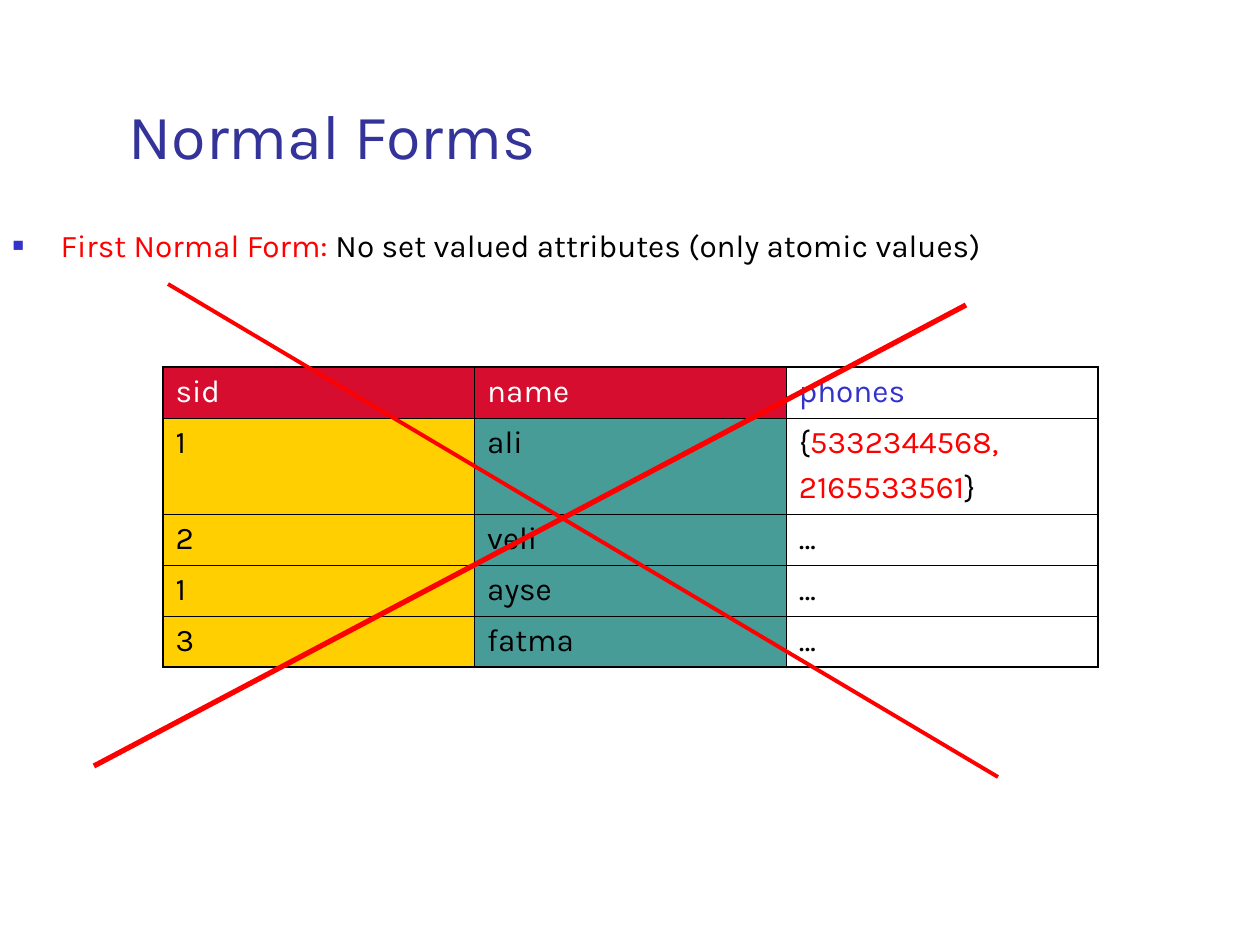
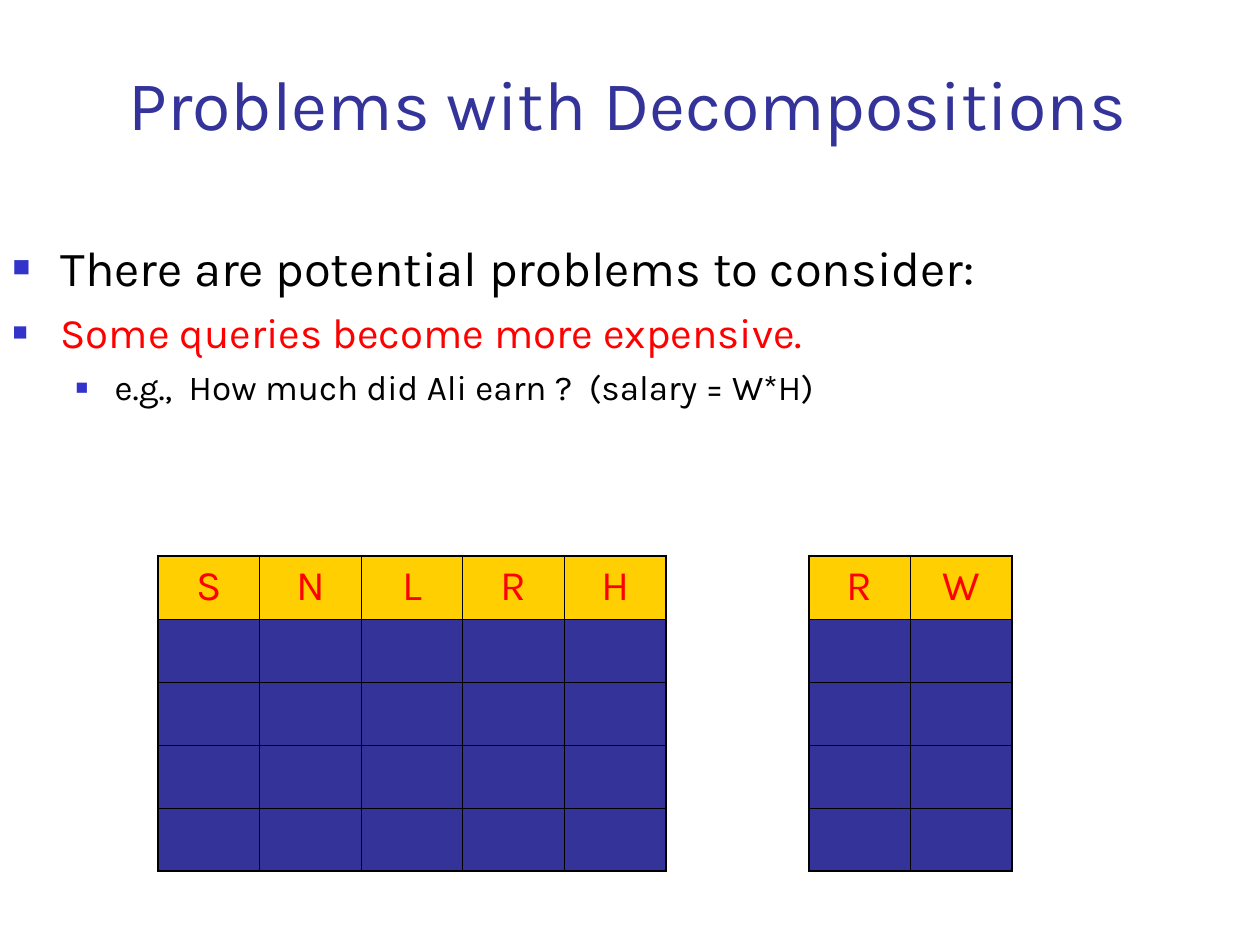
from lxml.etree import SubElement
from pptx import Presentation
from pptx.dml.color import RGBColor
from pptx.enum.shapes import MSO_CONNECTOR
from pptx.enum.text import MSO_ANCHOR, MSO_AUTO_SIZE, PP_ALIGN
from pptx.oxml.ns import qn
from pptx.util import Emu, Pt

PX_PER_INCH = 126
FONT = "Karla"
TITLE_AND_CONTENT = 1

NAVY = RGBColor(0x33, 0x33, 0x99)
BLUE = RGBColor(0x33, 0x33, 0xCC)
RED = RGBColor(0xFF, 0x00, 0x00)
CRIMSON = RGBColor(0xD7, 0x0D, 0x2F)
YELLOW = RGBColor(0xFF, 0xCF, 0x01)
TEAL = RGBColor(0x48, 0x9C, 0x98)
BLACK = RGBColor(0x00, 0x00, 0x00)
WHITE = RGBColor(0xFF, 0xFF, 0xFF)

OUTER_BORDER = Pt(1.08)
INNER_BORDER = Pt(0.45)
LEVEL_INDENTS = [(48, 48), (102, 39)]


def px(length):
    return Emu(round(length * 914400 / PX_PER_INCH))


def write(paragraph, runs, size=18, before=0, align=PP_ALIGN.LEFT):
    """Fill a paragraph with (text, colour) runs."""
    paragraph.alignment = align
    paragraph.space_before = Pt(before)
    for text, color in runs:
        run = paragraph.add_run()
        run.text = text
        run.font.name = FONT
        run.font.size = Pt(size)
        run.font.color.rgb = color


def next_paragraph(text_frame, index):
    return text_frame.paragraphs[0] if index == 0 else text_frame.add_paragraph()


def place(shape, left, top, width, height):
    shape.left, shape.top = px(left), px(top)
    shape.width, shape.height = px(width), px(height)


def set_bullet(paragraph, level):
    margin, hanging = LEVEL_INDENTS[level]
    paragraph.level = level
    properties = paragraph._p.get_or_add_pPr()
    properties.set("marL", str(px(margin)))
    properties.set("indent", str(px(-hanging)))
    color = SubElement(properties, qn("a:buClr"))
    SubElement(color, qn("a:srgbClr"), val=str(BLUE))
    SubElement(properties, qn("a:buSzPct"), val="60000")
    SubElement(properties, qn("a:buChar"), char="■")


def add_title(slide, text, height, size):
    title = slide.shapes.title
    place(title, 116, 58, 1071, height)
    title.text_frame.auto_size = MSO_AUTO_SIZE.NONE
    title.text_frame.vertical_anchor = MSO_ANCHOR.MIDDLE
    write(title.text_frame.paragraphs[0], [(text, NAVY)], size=size)


def add_bullets(slide, top, height, items):
    """Fill the body with (level, size, space before, runs) items."""
    body = slide.placeholders[1]
    place(body, 0, top, 1250, height)
    body.text_frame.auto_size = MSO_AUTO_SIZE.NONE
    for index, (level, size, before, runs) in enumerate(items):
        paragraph = next_paragraph(body.text_frame, index)
        write(paragraph, runs, size=size, before=before)
        set_bullet(paragraph, level)


def set_borders(cell, outer_sides):
    properties = cell._tc.get_or_add_tcPr()
    for side in "LRTB":
        width = OUTER_BORDER if side in outer_sides else INNER_BORDER
        line = SubElement(properties, qn(f"a:ln{side}"), w=str(width))
        fill = SubElement(line, qn("a:solidFill"))
        SubElement(fill, qn("a:srgbClr"), val=str(BLACK))


def add_grid(slide, left, top, width, row_heights, column_count):
    """Add a table with thin inner and thicker outer borders."""
    row_count = len(row_heights)
    frame = slide.shapes.add_table(row_count, column_count, px(left), px(top),
                                   px(width), px(sum(row_heights)))
    table = frame.table
    table.first_row = table.horz_banding = False
    for row, height in zip(table.rows, row_heights):
        row.height = px(height)
    for row in range(row_count):
        for column in range(column_count):
            edges = {"L": column == 0, "R": column == column_count - 1,
                     "T": row == 0, "B": row == row_count - 1}
            set_borders(table.cell(row, column),
                        [side for side, is_outer in edges.items() if is_outer])
    return table


def fill_cell(cell, color):
    if color is None:
        cell.fill.background()
    else:
        cell.fill.solid()
        cell.fill.fore_color.rgb = color


def add_student_table(slide):
    header = [("sid", WHITE, CRIMSON), ("name", WHITE, CRIMSON), ("phones", BLUE, None)]
    phones = [[("{", BLACK), ("5332344568,", RED)], [("2165533561", RED), ("}", BLACK)]]
    unknown = [[("…", BLACK)]]
    students = [("1", "ali", phones), ("2", "veli", unknown),
                ("1", "ayse", unknown), ("3", "fatma", unknown)]

    rows = [[([[(text, color)]], fill) for text, color, fill in header]]
    for sid, name, numbers in students:
        rows.append([([[(sid, BLACK)]], YELLOW), ([[(name, BLACK)]], TEAL), (numbers, None)])

    table = add_grid(slide, 163, 367, 935, [51, 96, 51, 51, 51], len(header))
    for row, contents in enumerate(rows):
        for column, (paragraphs, fill) in enumerate(contents):
            cell = table.cell(row, column)
            fill_cell(cell, fill)
            for index, runs in enumerate(paragraphs):
                write(next_paragraph(cell.text_frame, index), runs, before=4.5)


def add_relation(slide, left, width, attributes):
    """Draw a relation as a header of attributes over empty rows."""
    table = add_grid(slide, left, 556, width, [63] * 5, len(attributes))
    for cell in table.iter_cells():
        cell.margin_left = cell.margin_right = px(6)
        fill_cell(cell, NAVY)
    for column, attribute in enumerate(attributes):
        cell = table.cell(0, column)
        fill_cell(cell, YELLOW)
        write(cell.text_frame.paragraphs[0], [(attribute, RED)], size=24, before=6,
              align=PP_ALIGN.CENTER)


def add_strike(slide, start, end, width):
    line = slide.shapes.add_connector(MSO_CONNECTOR.STRAIGHT, *map(px, start + end))
    line.line.color.rgb = RED
    line.line.width = Pt(width)
    SubElement(line._element.spPr, qn("a:effectLst"))


def build_normal_forms(slide):
    add_title(slide, "Normal Forms", height=152, size=36)
    add_bullets(slide, 220, 703, [
        (0, 18, 4.5, [("First Normal Form: ", RED),
                      ("No set valued attributes (only atomic values)", BLACK)]),
    ])
    add_student_table(slide)
    add_strike(slide, (966, 305), (94, 766), 3)
    add_strike(slide, (168, 284), (998, 777), 2.25)


def build_decomposition_problems(slide):
    add_title(slide, "Problems with Decompositions", height=89, size=40)
    add_bullets(slide, 231, 672, [
        (0, 28, 7, [("There are potential problems to consider:", BLACK)]),
        (0, 24, 6, [("Some queries become more expensive.", RED)]),
        (1, 20, 5, [("e.g.,  How much did Ali earn ?  (salary = W*H)", BLACK)]),
    ])
    add_relation(slide, 158, 508, "SNLRH")
    add_relation(slide, 809, 203, "RW")


def main():
    presentation = Presentation()
    presentation.slide_width, presentation.slide_height = px(1260), px(945)
    layout = presentation.slide_layouts[TITLE_AND_CONTENT]
    for build in (build_normal_forms, build_decomposition_problems):
        build(presentation.slides.add_slide(layout))
    presentation.save("out.pptx")


if __name__ == "__main__":
    main()
